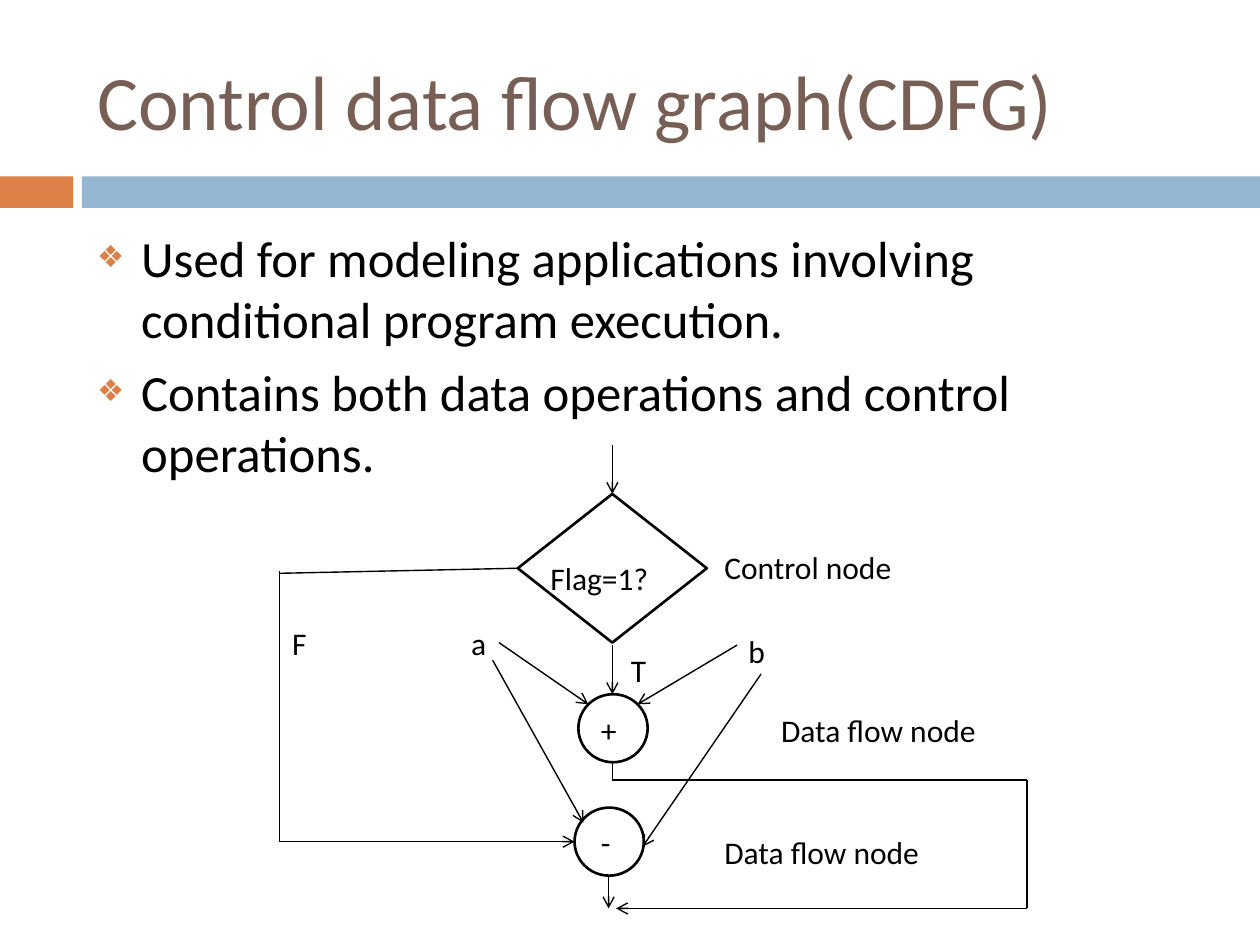
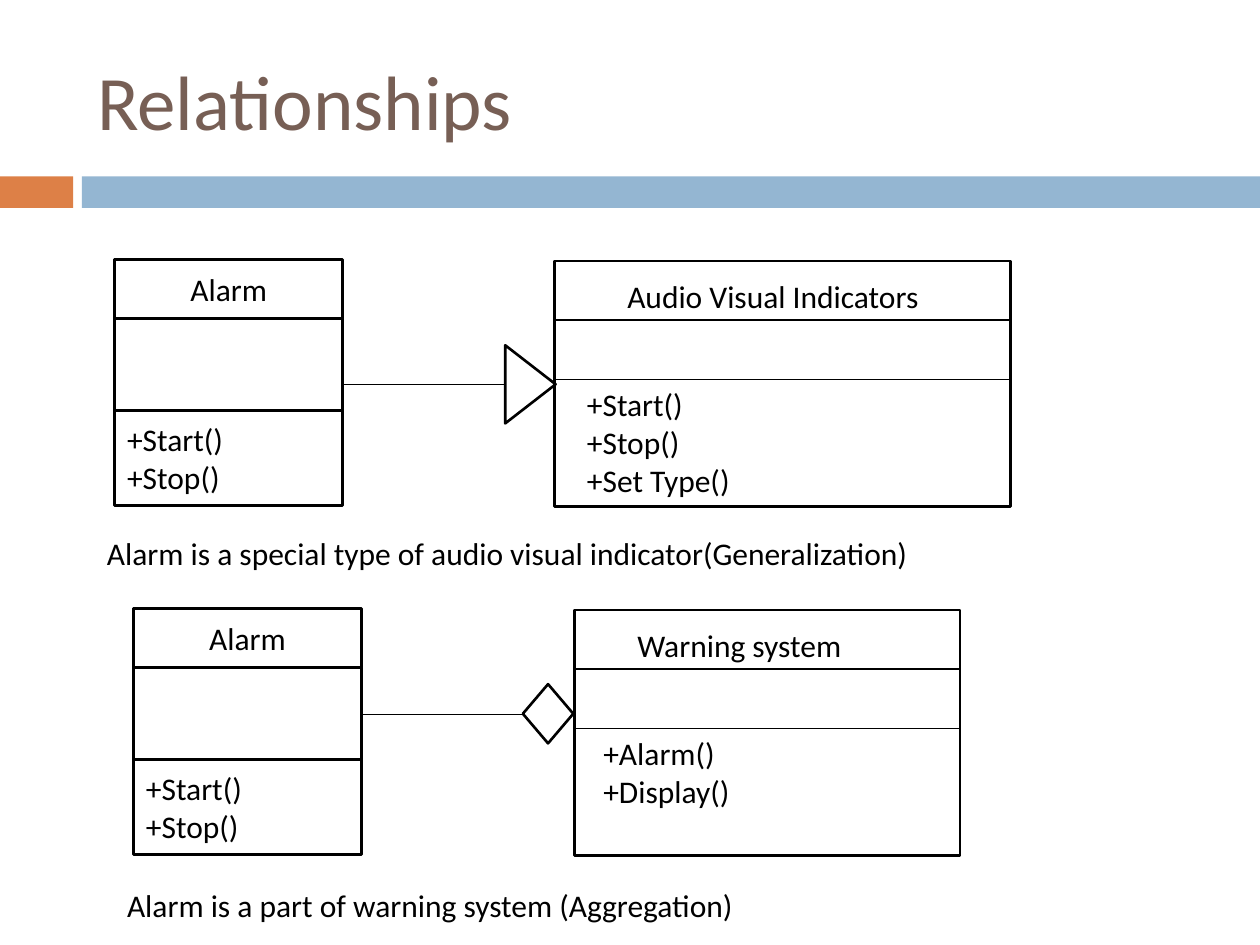
from dataclasses import dataclass
from typing import Any

from lxml import etree
from pptx import Presentation
from pptx.dml.color import RGBColor
from pptx.enum.shapes import MSO_CONNECTOR, MSO_SHAPE
from pptx.enum.text import MSO_ANCHOR, MSO_AUTO_SIZE, PP_ALIGN
from pptx.oxml.ns import qn
from pptx.util import Inches, Pt

RECTANGLE = MSO_SHAPE.RECTANGLE
ELLIPSE = MSO_SHAPE.OVAL
DECISION = MSO_SHAPE.FLOWCHART_DECISION
TRIANGLE = MSO_SHAPE.ISOSCELES_TRIANGLE
DIAMOND = MSO_SHAPE.DIAMOND
STRAIGHT = MSO_CONNECTOR.STRAIGHT
TOP, MIDDLE = MSO_ANCHOR.TOP, MSO_ANCHOR.MIDDLE
LEFT, CENTER = PP_ALIGN.LEFT, PP_ALIGN.CENTER
NO_FIT = MSO_AUTO_SIZE.NONE
CONTENT_LAYOUT, TITLE_ONLY_LAYOUT = 1, 5


@dataclass(frozen=True)
class Theme:
    font: str = "Calibri"
    title_color: str = "775F55"
    accent: str = "DD8047"
    band: str = "94B6D2"
    ink: str = "000000"
    title_size: float = 44
    body_size: float = 29
    label_size: float = 18
    outline: float = 1.5
    thin: float = 0.79


@dataclass
class Deck:
    """Draws styled elements on the current slide."""

    presentation: Any
    theme: Theme
    slide: Any = None
    shapes: Any = None

    def start_slide(self, title, layout):
        self.slide = self.presentation.slides.add_slide(
            self.presentation.slide_layouts[layout])
        self.shapes = self.slide.shapes
        for left, width, color in ((0, 0.58, self.theme.accent),
                                   (0.65, 9.35, self.theme.band)):
            self.shape(RECTANGLE, left, 1.4, width, 0.25, fill=color)
        self.place(self.shapes.title, 0.67, 0.25, 8.92, 1.08)
        self.set_text(self.shapes.title, [title], self.theme.title_size,
                      self.theme.title_color, MIDDLE)

    def start_group(self):
        self.shapes = self.slide.shapes.add_group_shape().shapes

    def end_group(self):
        self.shapes = self.slide.shapes

    def place(self, shape, left, top, width, height):
        shape.left, shape.top = Inches(left), Inches(top)
        shape.width, shape.height = Inches(width), Inches(height)

    def set_text(self, shape, lines, size, color, anchor=TOP, align=LEFT):
        frame = shape.text_frame
        frame.word_wrap = True
        frame.auto_size = NO_FIT
        frame.vertical_anchor = anchor
        for index, line in enumerate(lines):
            paragraph = frame.add_paragraph() if index else frame.paragraphs[0]
            paragraph.alignment = align
            run = paragraph.add_run()
            run.text = line
            run.font.name = self.theme.font
            run.font.size = Pt(size)
            run.font.color.rgb = RGBColor.from_string(color)

    def bullets(self, lines):
        body = self.slide.placeholders[1]
        self.place(body, 0.67, 1.75, 8.92, 4.92)
        self.set_text(body, lines, self.theme.body_size, self.theme.ink)
        for paragraph in body.text_frame.paragraphs:
            paragraph.space_before = Pt(7)
            properties = paragraph._p.get_or_add_pPr()
            properties.set("marL", str(Inches(0.35)))
            properties.set("indent", str(Inches(-0.35)))
            color = etree.SubElement(properties, qn("a:buClr"))
            etree.SubElement(color, qn("a:srgbClr"), val=self.theme.accent)
            etree.SubElement(properties, qn("a:buSzPct"), val="60000")
            etree.SubElement(properties, qn("a:buChar"), char="\u2756")

    def label(self, lines, left, top, width, height=0.4):
        box = self.shapes.add_textbox(Inches(left), Inches(top),
                                      Inches(width), Inches(height))
        self.set_text(box, lines, self.theme.label_size, self.theme.ink)

    def shape(self, kind, left, top, width, height, fill=None, lines=(),
              align=LEFT, rotation=0):
        shape = self.shapes.add_shape(kind, Inches(left), Inches(top),
                                      Inches(width), Inches(height))
        shape.shadow.inherit = False
        shape.rotation = rotation
        if fill:
            shape.fill.solid()
            shape.fill.fore_color.rgb = RGBColor.from_string(fill)
            shape.line.fill.background()
        else:
            shape.fill.background()
            shape.line.color.rgb = RGBColor.from_string(self.theme.ink)
            shape.line.width = Pt(self.theme.outline)
        if lines:
            self.set_text(shape, lines, self.theme.label_size, self.theme.ink,
                          MIDDLE, align)

    def line(self, start, end, arrow=False):
        connector = self.shapes.add_connector(
            STRAIGHT, *(Inches(value) for value in (*start, *end)))
        connector.line.color.rgb = RGBColor.from_string(self.theme.ink)
        connector.line.width = Pt(self.theme.thin)
        properties = connector.element.spPr
        if arrow:
            outline = properties.find(qn("a:ln"))
            etree.SubElement(outline, qn("a:tailEnd"), type="arrow")
        etree.SubElement(properties, qn("a:effectLst"))

    def stacked_class(self, name, methods, left, top):
        for height, lines, align in ((0.47, [name], CENTER), (0.73, (), LEFT),
                                     (0.75, methods, LEFT)):
            self.shape(RECTANGLE, left, top, 1.81, height, lines=lines,
                       align=align)
            top += height

    def framed_class(self, name, methods, left, top, width, name_left,
                     methods_left):
        self.start_group()
        self.shape(RECTANGLE, left, top, width, 1.95)
        for divider in (top + 0.47, top + 0.94):
            self.line((left, divider), (left + width, divider))
        self.label([name], name_left, top + 0.08, 2.68)
        self.label(methods, methods_left, top + 0.94, 2.6,
                   0.1 + 0.3 * len(methods))
        self.end_group()


def build_flow_graph(deck):
    deck.start_slide("Control data flow graph(CDFG)", CONTENT_LAYOUT)
    deck.bullets([
        "Used for modeling applications involving conditional program execution.",
        "Contains both data operations and control operations."])
    deck.start_group()
    deck.shape(DECISION, 4.11, 3.92, 1.5, 1.18)
    for left, top in ((4.59, 5.51), (4.56, 6.41)):
        deck.shape(ELLIPSE, left, top, 0.55, 0.54)
    arrows = (
        ((4.86, 3.53), (4.86, 3.92)),
        ((4.86, 5.12), (4.86, 5.51)),
        ((2.22, 6.68), (4.56, 6.68)),
        ((3.96, 5.1), (4.67, 5.59)),
        ((5.85, 5.12), (5.06, 5.59)),
        ((3.91, 5.24), (4.63, 6.53)),
        ((6.04, 5.35), (5.1, 6.72)),
        ((4.83, 6.95), (4.83, 7.21)),
        ((8.15, 7.21), (4.89, 7.21)))
    for start, end in arrows:
        deck.line(start, end, arrow=True)
    plain_lines = (
        ((4.11, 4.51), (2.22, 4.55)),
        ((2.22, 4.53), (2.22, 6.68)),
        ((4.86, 6.05), (4.86, 6.19)),
        ((4.86, 6.19), (8.15, 6.19)),
        ((8.15, 6.19), (8.15, 7.21)))
    for start, end in plain_lines:
        deck.line(start, end)
    labels = (
        ("Flag=1?", 4.27, 4.39, 1.18),
        ("Control node", 5.65, 4.3, 1.65),
        ("a", 3.64, 4.9, 0.39),
        ("b", 5.84, 4.97, 0.39),
        ("T", 4.91, 5.12, 0.23),
        ("F", 2.22, 4.9, 0.28),
        ("+", 4.67, 5.59, 0.44),
        ("-", 4.67, 6.48, 0.32),
        ("Data flow node", 6.1, 5.59, 1.81),
        ("Data flow node", 5.65, 6.56, 1.81))
    for text, left, top, width in labels:
        deck.label([text], left, top, width)
    deck.end_group()


def build_relationships(deck):
    deck.start_slide("Relationships", TITLE_ONLY_LAYOUT)
    for left, top in ((0.91, 2.06), (1.06, 4.83)):
        deck.stacked_class("Alarm", ["+Start()", "+Stop()"], left, top)
    deck.framed_class("Audio Visual Indicators",
                      ["+Start()", "+Stop()", "+Set Type()"],
                      4.4, 2.07, 3.62, 4.88, 4.56)
    deck.framed_class("Warning system", ["+Alarm()", "+Display()"],
                      4.56, 4.84, 3.06, 4.96, 4.69)
    deck.line((4, 3.05), (2.72, 3.05))
    deck.shape(TRIANGLE, 3.9, 2.85, 0.62, 0.4, rotation=90)
    deck.line((4.15, 5.67), (2.87, 5.67))
    deck.shape(DIAMOND, 4.15, 5.43, 0.4, 0.47)
    deck.label(["Alarm is a special type of audio visual "
                "indicator(Generalization)"], 0.75, 4.19, 7.28)
    deck.label(["Alarm is a part of warning system (Aggregation)"],
               0.91, 6.98, 6.65)


presentation = Presentation()
presentation.slide_width = Inches(10)
presentation.slide_height = Inches(7.5)
deck = Deck(presentation, Theme())
build_flow_graph(deck)
build_relationships(deck)
presentation.save("out.pptx")
